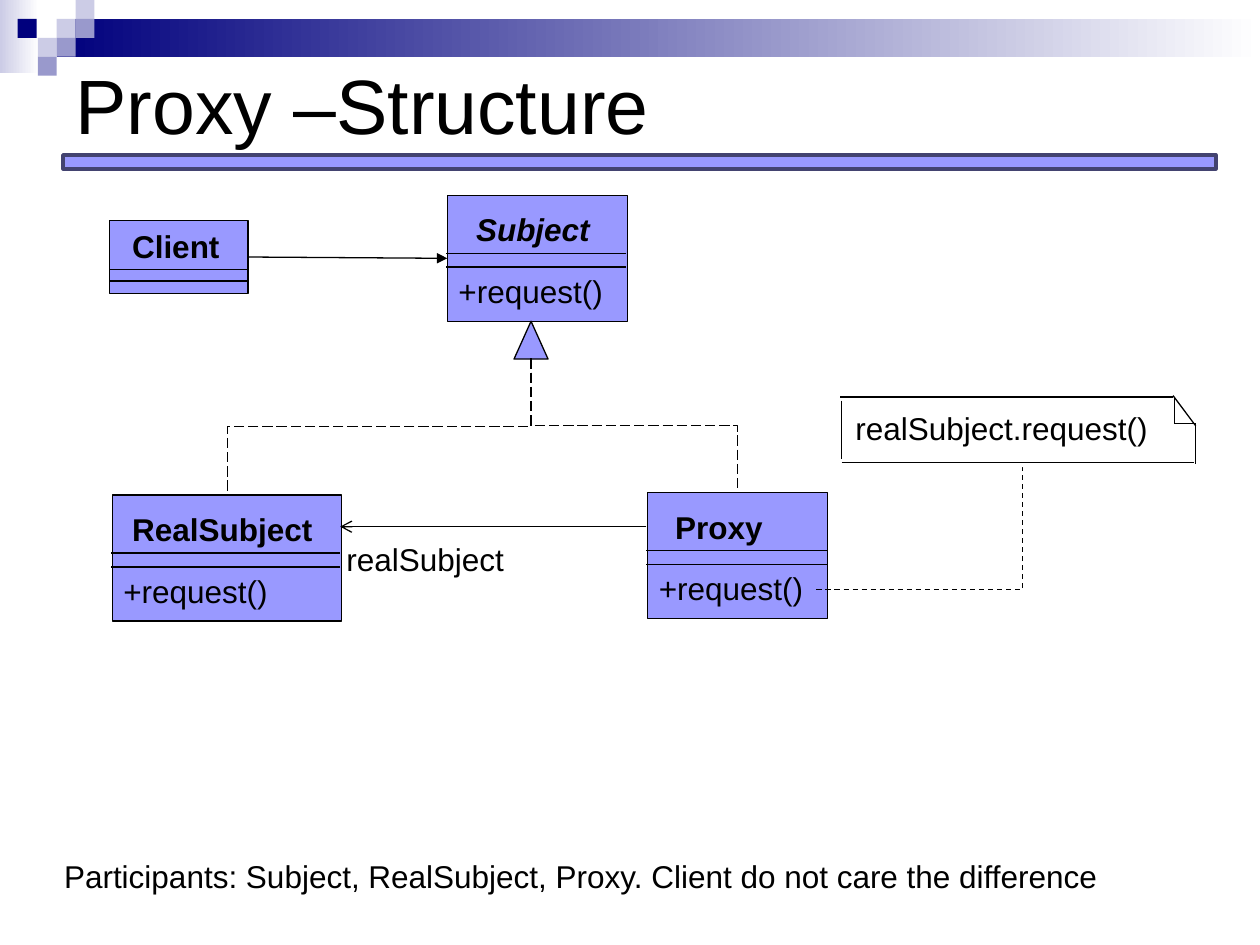
"""Build the Proxy pattern structure slide: a UML class diagram with a note."""
from lxml.etree import SubElement
from pptx import Presentation
from pptx.dml.color import RGBColor
from pptx.enum.dml import MSO_LINE as DASH
from pptx.enum.shapes import MSO_CONNECTOR as LINK, MSO_SHAPE as SHAPE
from pptx.enum.text import MSO_ANCHOR as ANCHOR, MSO_AUTO_SIZE as FIT, PP_ALIGN as ALIGN
from pptx.oxml.ns import qn
from pptx.util import Inches, Pt

COLORS = {
    "ink": "000000", "class": "9999FF", "rule": "434370", "navy": "00007D",
    "pale": "CCCCE6", "mid": "9999CC", "white": "FFFFFF",
}
RGB = {name: RGBColor.from_string(value) for name, value in COLORS.items()}
FONT = "Arial"

prs = Presentation()
prs.slide_width, prs.slide_height = Inches(10), Inches(7.5)
slide = prs.slides.add_slide(prs.slide_layouts[5])
shapes = slide.shapes


def write(text, x, y, w, wrap=False, bold=False, italic=False):
    box = shapes.add_textbox(Inches(x), Inches(y), Inches(w), Inches(0.4))
    frame = box.text_frame
    frame.word_wrap = wrap
    frame.auto_size = FIT.SHAPE_TO_FIT_TEXT
    run = frame.paragraphs[0].add_run()
    run.text = text
    font = run.font
    font.name, font.size, font.bold, font.italic = FONT, Pt(18), bold, italic
    font.color.rgb = RGB["ink"]


def link(x1, y1, x2, y2, kind=LINK.STRAIGHT, dash=None, arrow=None):
    line = shapes.add_connector(kind, Inches(x1), Inches(y1), Inches(x2), Inches(y2))
    line.line.color.rgb = RGB["ink"]
    line.line.width = Pt(0.75)
    if dash:
        line.line.dash_style = dash
    properties = line.element.spPr
    if arrow:
        SubElement(properties.find(qn("a:ln")), qn("a:tailEnd"), type=arrow)
    SubElement(properties, qn("a:effectLst"))
    return line


for x, y, w, h, start in [(0, 0, 0.31, 0.58, "pale"), (0.45, 0.15, 9.55, 0.3, "navy")]:
    band = shapes.add_shape(SHAPE.RECTANGLE, Inches(x), Inches(y), Inches(w), Inches(h))
    band.shadow.inherit = False
    band.line.fill.background()
    band.fill.gradient()
    band.fill.gradient_angle = 0
    for stop, color in zip(band.fill.gradient_stops, (start, "white")):
        stop.color.rgb = RGB[color]

tiles = [(0.45, 0.15, "pale"), (0.6, 0, "pale"), (0.6, 0.15, "mid"), (0.3, 0.3, "pale"),
         (0.14, 0.15, "navy"), (0.45, 0.3, "mid"), (0.3, 0.45, "mid")]
for x, y, color in tiles:
    tile = shapes.add_shape(SHAPE.RECTANGLE, Inches(x), Inches(y), Inches(0.15), Inches(0.15))
    tile.shadow.inherit = False
    tile.fill.solid()
    tile.fill.fore_color.rgb = RGB[color]
    tile.line.fill.background()

title = shapes.title
title.left, title.top, title.width, title.height = Inches(0.5), Inches(0.07), Inches(9), Inches(1.5)
title.text_frame.vertical_anchor = ANCHOR.MIDDLE
heading = title.text_frame.paragraphs[0]
heading.alignment = ALIGN.LEFT
heading_run = heading.add_run()
heading_run.text = "Proxy –Structure"
heading_run.font.name, heading_run.font.size = FONT, Pt(44)
heading_run.font.color.rgb = RGB["ink"]

figures = [
    ("rule", SHAPE.RECTANGLE, 0.5, 1.23, 9.15, 0.11, "rule", 2),
    ("RealSubject", SHAPE.RECTANGLE, 0.89, 3.93, 1.82, 1, "ink", 0.75),
    ("Proxy", SHAPE.RECTANGLE, 5.14, 3.91, 1.43, 1, "ink", 0.75),
    ("Subject", SHAPE.RECTANGLE, 3.55, 1.55, 1.43, 1, "ink", 0.75),
    ("Client", SHAPE.RECTANGLE, 0.87, 1.75, 1.1, 0.58, "ink", 0.75),
    ("inheritance", SHAPE.ISOSCELES_TRIANGLE, 4.08, 2.55, 0.27, 0.3, "ink", 0.75),
]
diagram = {}
for name, kind, x, y, w, h, outline, weight in figures:
    figure = shapes.add_shape(kind, Inches(x), Inches(y), Inches(w), Inches(h))
    figure.shadow.inherit = False
    figure.fill.solid()
    figure.fill.fore_color.rgb = RGB["class"]
    figure.line.color.rgb = RGB[outline]
    figure.line.width = Pt(weight)
    diagram[name] = figure

classes = [("RealSubject", 0.89, 3.93, 1.82, 0.06, 1.72),
           ("Proxy", 5.14, 3.91, 1.43, 0.12, 1.35),
           ("Subject", 3.55, 1.55, 1.43, 0.13, 1.35)]
for name, x, y, w, indent, name_width in classes:
    write(name, x + indent, y + 0.07, name_width, wrap=True, bold=True, italic=name == "Subject")
    write("+request()", x - 0.01, y + 0.56, 1.35)
    for drop in (0.46, 0.57):
        link(x + w - 0.01, y + drop, x - 0.01, y + drop)

write("Client", 0.95, 1.75, 0.9, bold=True)
for y in (2.14, 2.23):
    link(0.87, y, 1.97, y)

write("realSubject.request()", 6.69, 3.2, 2.52)
note_edges = [(9.31, 3.14, 9.49, 3.38), (9.32, 3.15, 9.32, 3.36), (6.67, 3.15, 9.31, 3.15),
              (9.32, 3.36, 9.49, 3.36), (6.68, 3.67, 9.48, 3.67), (9.49, 3.36, 9.49, 3.68),
              (6.68, 3.18, 6.68, 3.64)]
for edge in note_edges:
    link(*edge)

elbows = [(5.57, 2.56, 4.5, 4.2, DASH.LONG_DASH, 270, 49800),
          (2.47, 2.18, 3.55, 4.59, DASH.LONG_DASH, 90, 49800),
          (6.48, 4.68, 8.11, 3.71, DASH.DASH, 0, 100400)]
for x1, y1, x2, y2, dash, turn, bend in elbows:
    elbow = link(x1, y1, x2, y2, LINK.ELBOW, dash)
    geometry = elbow.element.spPr
    geometry.find(qn("a:xfrm")).set("rot", str(turn * 60000))
    guides = geometry.find(qn("a:prstGeom")).find(qn("a:avLst"))
    SubElement(guides, qn("a:gd"), name="adj1", fmla=f"val {bend}")

link(5.13, 4.18, 2.7, 4.18, arrow="arrow")
write("realSubject", 2.65, 4.24, 1.45)

usage = link(1.97, 2.04, 3.55, 2.05, arrow="triangle")
usage.begin_connect(diagram["Client"], 3)
usage.end_connect(diagram["Subject"], 1)

write("Participants: Subject, RealSubject, Proxy. Client do not care the difference", 0.41, 6.75, 8.48)

prs.save("out.pptx")
